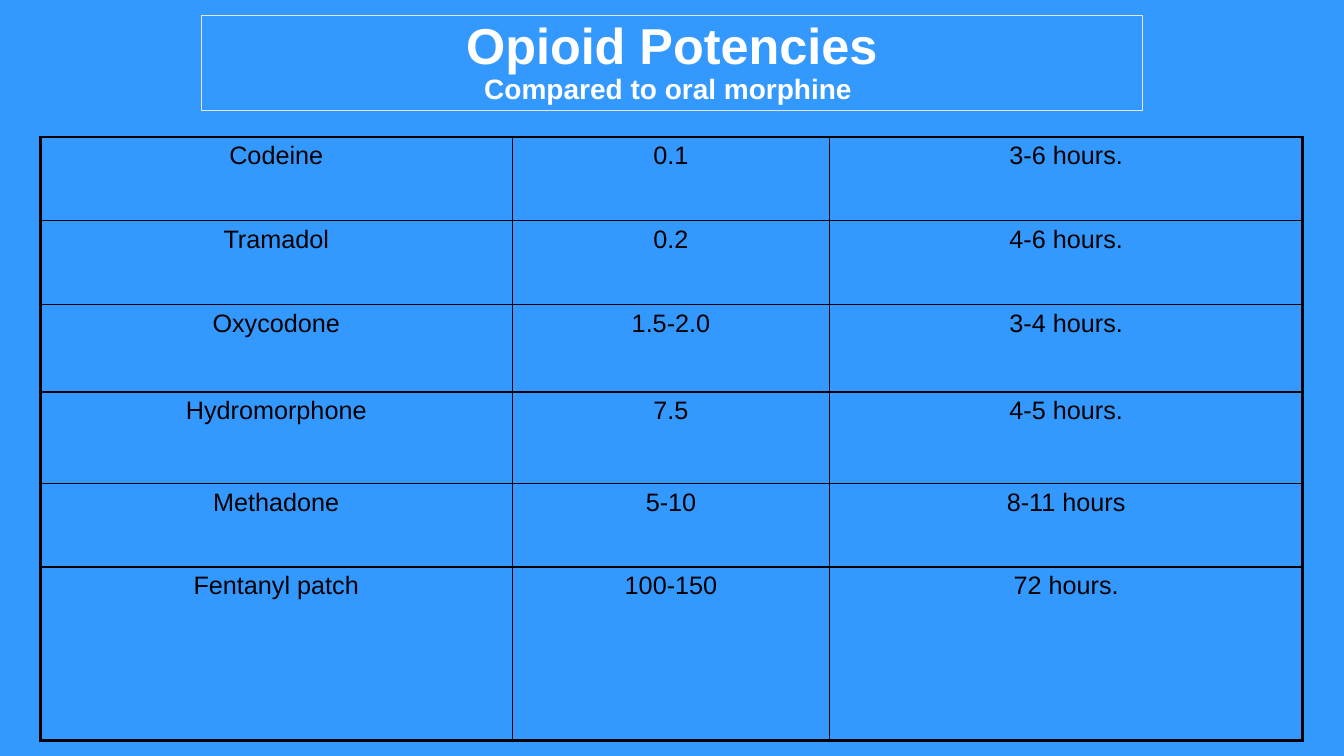
from dataclasses import dataclass

from lxml.etree import SubElement
from pptx import Presentation
from pptx.dml.color import RGBColor
from pptx.enum.text import MSO_ANCHOR, PP_ALIGN
from pptx.oxml.ns import qn
from pptx.slide import Slide
from pptx.util import Inches, Pt

SLIDE_WIDTH, SLIDE_HEIGHT = Inches(13.33), Inches(7.5)
BLUE, BLACK, WHITE, PALE_GREY = "3399FF", "000000", "FFFFFF", "E7E6E6"
OUTER_BORDER, INNER_BORDER = 2.25, 1

# Shares of the slide's size, in percent
DRUG_WIDTH, POTENCY_WIDTH, DURATION_WIDTH = 35.11, 23.63, 35.18
TABLE_LEFT, TABLE_TOP = 3, 18.13


@dataclass(frozen=True)
class Opioid:
    drug: str
    potency: str
    duration: str
    height: float = 11.07


@dataclass(frozen=True)
class Heading:
    wording: str
    size: float


OPIOIDS = (
    Opioid("Codeine", "0.1", "3-6 hours."),
    Opioid("Tramadol", "0.2", "4-6 hours."),
    Opioid("Oxycodone", "1.5-2.0", "3-4 hours.", 11.6),
    Opioid("Hydromorphone", "7.5", "4-5 hours.", 12.07),
    Opioid("Methadone", "5-10", "8-11 hours"),
    Opioid("Fentanyl patch", "100-150", "72 hours.", 22.93),
)
HEADINGS = (Heading("Opioid Potencies", 36), Heading("Compared to oral morphine ", 20))


def across(percent: float) -> int:
    return round(SLIDE_WIDTH * percent / 100)


def down(percent: float) -> int:
    return round(SLIDE_HEIGHT * percent / 100)


def colour(hex_value: str) -> RGBColor:
    return RGBColor.from_string(hex_value)


def style_font(font, hex_value: str, **formats) -> None:
    for attribute, value in {"name": "Arial", **formats}.items():
        setattr(font, attribute, value)
    font.color.rgb = colour(hex_value)


def draw_title(slide: Slide) -> None:
    title = slide.shapes.add_textbox(across(15), down(2), across(70), down(12.67))
    title.line.color.rgb = colour(PALE_GREY)
    title.line.width = Pt(0.75)
    frame = title.text_frame
    frame.word_wrap = True
    frame.vertical_anchor = MSO_ANCHOR.MIDDLE
    lines = frame.paragraphs[0]
    lines.alignment = PP_ALIGN.CENTER
    lines.line_spacing = 0.9
    for index, heading in enumerate(HEADINGS):
        if index:
            lines.add_line_break()
        run = lines.add_run()
        run.text = heading.wording
        style_font(run.font, WHITE, size=Pt(heading.size), bold=True)


def draw_borders(cell, outer_sides: dict[str, bool]) -> None:
    """Draw all four borders, heavier on the sides at the table's edge."""
    properties = cell._tc.get_or_add_tcPr()
    for side, is_outer in outer_sides.items():
        weight = OUTER_BORDER if is_outer else INNER_BORDER
        border = SubElement(properties, qn(f"a:ln{side}"), w=str(Pt(weight)))
        SubElement(SubElement(border, qn("a:solidFill")), qn("a:srgbClr"), val=BLACK)


def draw_potency_table(slide: Slide) -> None:
    widths = (DRUG_WIDTH, POTENCY_WIDTH, DURATION_WIDTH)
    last_row, last_column = len(OPIOIDS) - 1, len(widths) - 1
    table = slide.shapes.add_table(
        len(OPIOIDS), len(widths), across(TABLE_LEFT), down(TABLE_TOP),
        across(sum(widths)), down(sum(opioid.height for opioid in OPIOIDS)),
    ).table
    table.first_row = table.horz_banding = False
    for column, width in zip(table.columns, widths):
        column.width = across(width)
    for row, opioid in enumerate(OPIOIDS):
        table.rows[row].height = down(opioid.height)
        for column, entry in enumerate((opioid.drug, opioid.potency, opioid.duration)):
            cell = table.cell(row, column)
            draw_borders(cell, {"L": column == 0, "R": column == last_column,
                                "T": row == 0, "B": row == last_row})
            cell.fill.solid()
            cell.fill.fore_color.rgb = colour(BLUE)
            cell.text = entry
            paragraph = cell.text_frame.paragraphs[0]
            paragraph.alignment = PP_ALIGN.CENTER
            style_font(paragraph.runs[0].font, BLACK, size=Pt(18))


def main() -> None:
    presentation = Presentation()
    presentation.slide_width, presentation.slide_height = SLIDE_WIDTH, SLIDE_HEIGHT
    slide = presentation.slides.add_slide(presentation.slide_layouts[6])
    slide.background.fill.solid()
    slide.background.fill.fore_color.rgb = colour(BLUE)
    draw_title(slide)
    draw_potency_table(slide)
    presentation.save("out.pptx")


if __name__ == "__main__":
    main()
